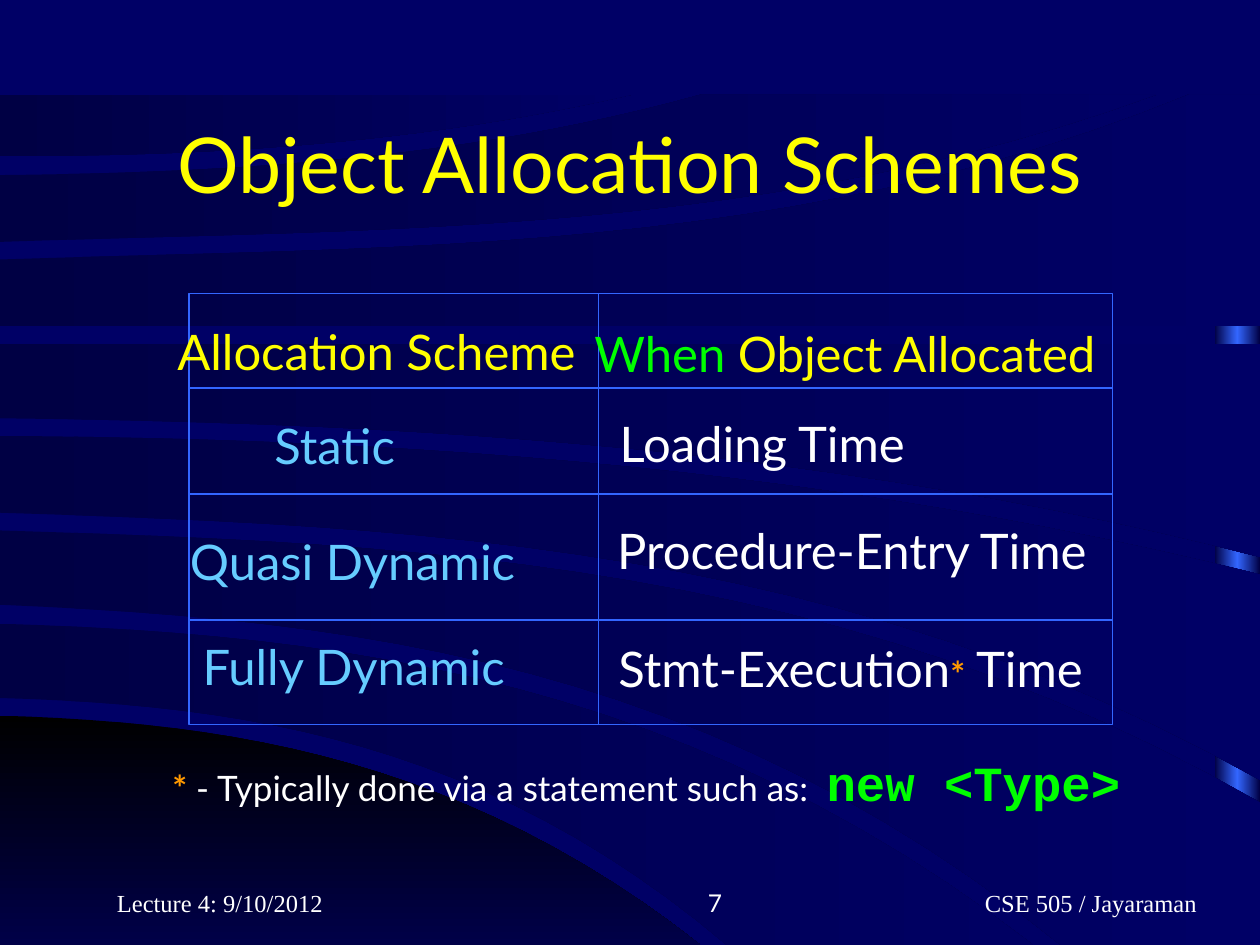
from copy import deepcopy
from math import prod
from pptx import Presentation
from pptx.dml.color import RGBColor
from pptx.enum.shapes import MSO_CONNECTOR, MSO_SHAPE
from pptx.enum.text import MSO_ANCHOR, MSO_AUTO_SIZE, PP_ALIGN
from pptx.oxml import parse_xml
from pptx.util import Inches, Pt

WHITE, YELLOW, GREEN, SKY = "FFFFFF", "FFFF00", "00FF00", "66CCFF"
ORANGE, BLUE, NAVY, DARK = "FF9900", "3366FF", "000066", "000044"
STEPS = 24
rgb = RGBColor.from_string


def curve(end, heights):
    """Points from x = 0 to end on the polynomial through evenly spaced heights."""
    n = len(heights) - 1
    points = []
    for step in range(STEPS + 1):
        t = n * step / STEPS
        y = sum(h * prod((t - j) / (i - j) for j in range(n + 1) if j != i)
                for i, h in enumerate(heights))
        points.append((end * step / STEPS, y))
    return points


def add_runs(p, runs):
    for text, size, color, font, bold in runs:
        r = p.add_run()
        r.text = text
        for name, value in {"size": Pt(size), "name": font, "bold": bold}.items():
            setattr(r.font, name, value)
        r.font.color.rgb = rgb(color)


prs = Presentation()
prs.slide_width, prs.slide_height = Inches(10), Inches(7.5)
s = prs.slides.add_slide(prs.slide_layouts[5])
s.background.fill.solid()
s.background.fill.fore_color.rgb = rgb(NAVY)

# Bright bar that shows between the waves at the right edge
bar = s.shapes.add_shape(MSO_SHAPE.RECTANGLE, Inches(9.64), Inches(0.77),
                         Inches(0.36), Inches(6.73))
backdrop = [(bar, [DARK, BLUE, DARK], 0)]

# Waves: upper edge, corner points, lower edge (in inches), gradient, angle
blend = [DARK, NAVY]
waves = [
    ((5.56, [5.68, 5.85, 6.39, 7.5]), [], (5.56, [7.5, 7.5]), ["000000", "000048"], 270),
    ((8.2, [4.95, 5.18, 5.92, 7.5]), [], (5.77, [5.54, 5.71, 6.28, 7.5]), [DARK, "000063"], 0),
    ((10, [4.21, 4.39, 4.98, 6.37]), [(10, 7.5)], (8.42, [4.8, 5.05, 5.82, 7.5]), blend, 0),
    ((10, [3.46, 3.57, 3.91, 4.56]), [], (10, [4.07, 4.25, 4.83, 6.19]), blend, 0),
    ((10, [2.73, 2.73]), [], (10, [3.32, 3.43, 3.76, 4.42]), blend, 0),
    ((9.44, [2.06, 1.96, 1.64, 0.75]), [(10, 0.75)], (10, [2.59, 2.59]), blend, 0),
    ((5.57, [1.39, 1.33, 1.14, 0.75]), [], (9.18, [1.92, 1.82, 1.53, 0.75]), blend, 0),
    ((5.02, [0.75, 0.75]), [], (5.02, [1.24, 1.2, 1.05, 0.75]), blend, 0),
]
for upper, corners, lower, colors, angle in waves:
    points = [(Inches(x), Inches(y)) for x, y in curve(*upper) + corners + curve(*lower)[::-1]]
    outline = s.shapes.build_freeform(*points[0])
    outline.add_line_segments(points[1:], close=True)
    backdrop.append((outline.convert_to_shape(), colors, angle))

for sp, colors, angle in backdrop:
    sp.shadow.inherit = False
    sp.line.fill.background()
    sp.fill.gradient()
    sp.fill.gradient_angle = angle
    stops = sp.fill._fill._gradFill.gsLst
    while len(stops) < len(colors):
        stops.append(deepcopy(stops[0]))
    for i, (stop, color) in enumerate(zip(sp.fill.gradient_stops, colors)):
        stop.color.rgb = rgb(color)
        stop.position = i / (len(colors) - 1)

# Title, brought in front of the waves
title = s.shapes.title
s.shapes._spTree.append(title._element)
title.left, title.top, title.width, title.height = [Inches(v) for v in (0.75, 0.67, 8.5, 1.25)]
title.text_frame.vertical_anchor = MSO_ANCHOR.MIDDLE
p = title.text_frame.paragraphs[0]
p.alignment = PP_ALIGN.CENTER
add_runs(p, [("Object Allocation Schemes", 44, YELLOW, "Lato", False)])

# Grid: frame and rules
left, top, right, bottom = 1.5, 2.33, 8.83, 5.75
frame = s.shapes.add_shape(MSO_SHAPE.RECTANGLE, Inches(left), Inches(top),
                           Inches(right - left), Inches(bottom - top))
frame.shadow.inherit = False
frame.fill.background()
rules = [(4.75, top, 4.75, bottom)] + [(left, y, right, y) for y in (3.08, 3.92, 4.92)]
lines = [frame]
for ends in rules:
    cx = s.shapes.add_connector(MSO_CONNECTOR.STRAIGHT, *[Inches(v) for v in ends])
    cx._element.spPr.append(parse_xml(
        '<a:effectLst xmlns:a="http://schemas.openxmlformats.org/drawingml/2006/main"/>'))
    lines.append(cx)
for sp in lines:
    sp.line.color.rgb = rgb(BLUE)
    sp.line.width = Pt(0.75)

# Grid entries and footnote: left, top, width, runs
labels = [
    (1.31, 2.5, 3.54, [("Allocation Scheme", 28, YELLOW, "Lato", False)]),
    (2.08, 3.25, 1.2, [("Static", 28, SKY, "Lato", False)]),
    (1.41, 4.17, 2.94, [("Quasi Dynamic", 28, SKY, "Lato", False)]),
    (1.51, 5, 2.73, [("Fully Dynamic", 28, SKY, "Lato", False)]),
    (4.62, 2.52, 4.33, [("When", 28, GREEN, "Lato", False),
                        (" Object Allocated", 28, YELLOW, "Lato", False)]),
    (4.82, 3.23, 2.67, [("Loading Time", 28, WHITE, "Lato", False)]),
    (4.8, 4.08, 4.17, [("Procedure-Entry Time", 28, WHITE, "Lato", False)]),
    (4.81, 5.02, 4.11, [("Stmt-Execution", 28, WHITE, "Lato", False),
                        ("*", 20, ORANGE, "Lato", True),
                        (" Time", 28, WHITE, "Lato", False)]),
    (1.27, 5.92, 8.11, [("*", 20, ORANGE, "Lato", True),
                        (" - Typically done via a statement such as:  ", 20, WHITE, "Lato", False),
                        ("new <Type>", 28, GREEN, "Courier New", True)]),
]
for x, y, w, runs in labels:
    tf = s.shapes.add_textbox(Inches(x), Inches(y), Inches(w), Inches(0.57)).text_frame
    tf.word_wrap = False
    tf.auto_size = MSO_AUTO_SIZE.SHAPE_TO_FIT_TEXT
    add_runs(tf.paragraphs[0], runs)

# Footer: left, width, alignment, right margin, text, font
footers = [
    (0.83, 2.08, PP_ALIGN.LEFT, 0.1, "Lecture 4: 9/10/2012", "Times New Roman"),
    (3.75, 2.08, PP_ALIGN.RIGHT, 0.1, "7", "Lato"),
    (6.58, 3.17, PP_ALIGN.RIGHT, 0.25, "CSE 505 / Jayaraman", "Times New Roman"),
]
for x, w, align, margin, text, font in footers:
    tf = s.shapes.add_textbox(Inches(x), Inches(6.83), Inches(w), Inches(0.5)).text_frame
    tf.word_wrap = True
    tf.vertical_anchor = MSO_ANCHOR.BOTTOM
    tf.margin_right = Inches(margin)
    p = tf.paragraphs[0]
    p.alignment = align
    add_runs(p, [(text, 14, WHITE, font, False)])

prs.save("out.pptx")
